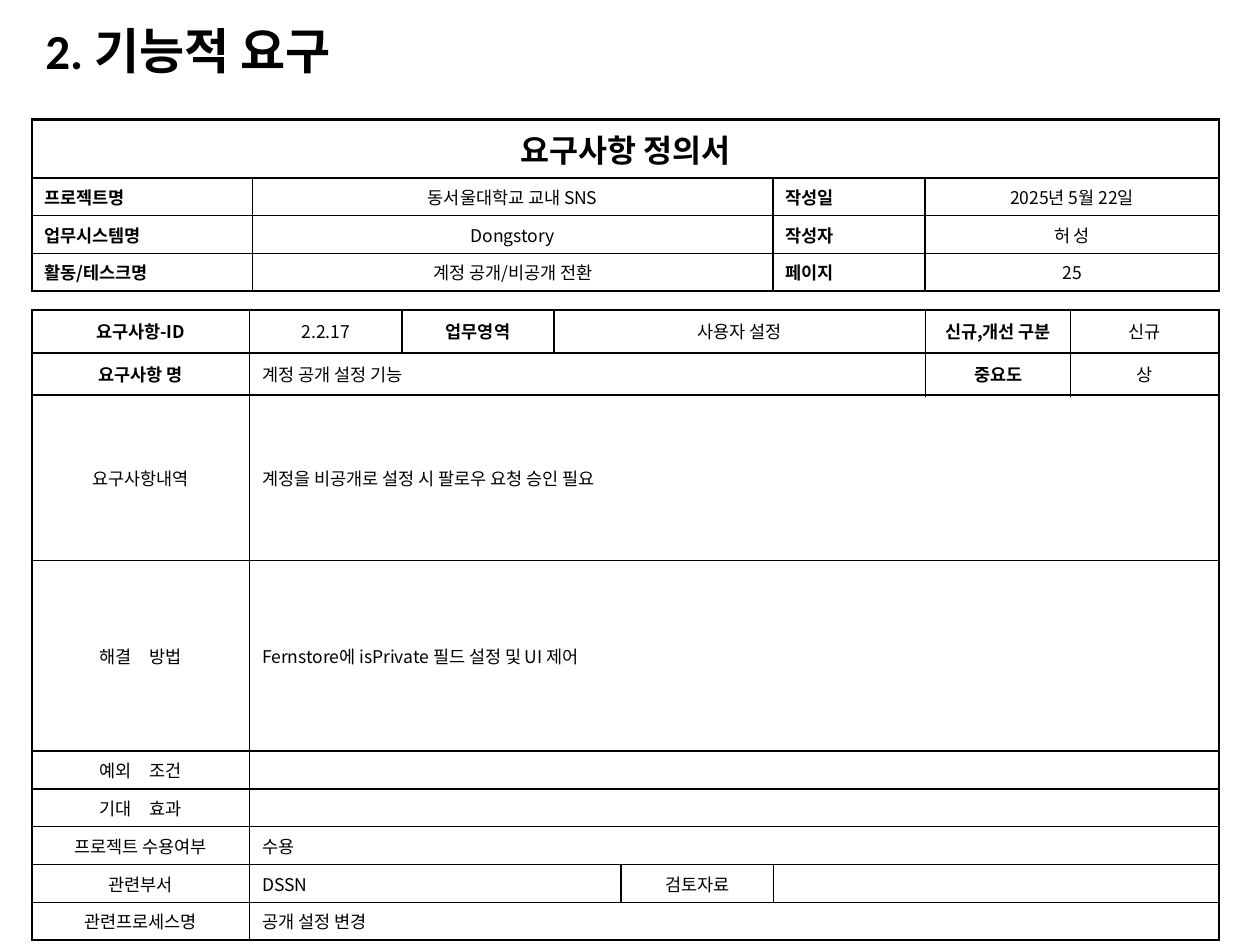
import pptx
import pptx.dml.color
import pptx.enum.text
import pptx.oxml
import pptx.oxml.ns
import pptx.util

Cm = pptx.util.Cm
Pt = pptx.util.Pt
ALIGN = pptx.enum.text.PP_ALIGN
ANCHOR = pptx.enum.text.MSO_ANCHOR

BLACK = "000000"
KOREAN = "Noto Sans CJK KR"
LATIN = "Calibri"
THIN, THICK = 1, 1.5

TITLE = "2. 기능적 요구"

STYLES = {
    "heading": (KOREAN, 18, True, ALIGN.CENTER, ANCHOR.MIDDLE),
    "field": (KOREAN, 10, True, ALIGN.JUSTIFY, ANCHOR.TOP),
    "entry": (KOREAN, 10, False, ALIGN.CENTER, ANCHOR.TOP),
    "label": (KOREAN, 10, True, ALIGN.CENTER, ANCHOR.MIDDLE),
    "item": (KOREAN, 10, False, ALIGN.CENTER, ANCHOR.MIDDLE),
    "value": (KOREAN, 10, False, ALIGN.LEFT, ANCHOR.MIDDLE),
    "detail": (LATIN, 10, False, ALIGN.LEFT, ANCHOR.MIDDLE),
}

REQUIREMENT = {
    "top": 6.25,
    "columns": [4.39, 3.07, 3.07, 1.35, 3.07, 3.07, 2.92, 2.99],
    "heights": [0.86, 0.86, 3.33, 3.84] + [0.69] * 5,
    "thick_rules": {0, 1, 2, 9},
    "rows": [
        [("요구사항-ID", "label", 1), ("2.2.17", "item", 1), ("업무영역", "label", 1),
         ("사용자 설정", "item", 3), ("신규,개선 구분", "label", 1), ("신규", "item", 1)],
        [("요구사항 명", "label", 1), ("계정 공개 설정 기능", "value", 5),
         ("중요도", "label", 1), ("상", "item", 1)],
        [("요구사항내역", "item", 1),
         ("계정을 비공개로 설정 시 팔로우 요청 승인 필요", "detail", 7)],
        [("해결　방법", "item", 1),
         ("Fernstore에 isPrivate 필드 설정 및 UI 제어", "value", 7)],
        [("예외　조건", "item", 1), ("", "value", 7)],
        [("기대　효과", "item", 1), ("", "value", 7)],
        [("프로젝트 수용여부", "item", 1), ("수용", "value", 7)],
        [("관련부서", "item", 1), ("DSSN", "value", 3),
         ("검토자료", "item", 1), ("", "value", 3)],
        [("관련프로세스명", "item", 1), ("공개 설정 변경", "value", 7)],
    ],
}

DOCUMENT = {
    "top": 2.41,
    "columns": [4.45, 10.49, 3.07, 5.92],
    "heights": [1.17, 0.69, 0.69, 0.69],
    "thick_rules": {0, 4},
    "rows": [
        [("요구사항 정의서", "heading", 4)],
        [("프로젝트명", "field", 1), ("동서울대학교 교내 SNS", "entry", 1),
         ("작성일", "field", 1), ("2025년 5월 22일", "entry", 1)],
        [("업무시스템명", "field", 1), ("Dongstory", "entry", 1),
         ("작성자", "field", 1), ("허 성", "entry", 1)],
        [("활동/테스크명", "field", 1), ("계정 공개/비공개 전환", "entry", 1),
         ("페이지", "field", 1), ("25", "entry", 1)],
    ],
}


def set_font(para, name, size, bold, color=BLACK):
    para.font.name = name
    para.font.size = Pt(size)
    para.font.bold = bold
    para.font.color.rgb = pptx.dml.color.RGBColor.from_string(color)


def set_borders(cell, widths):
    properties = cell._tc.get_or_add_tcPr()
    for side, width in widths.items():
        properties.append(pptx.oxml.parse_xml(
            f'<a:ln{side} {pptx.oxml.ns.nsdecls("a")} w="{Pt(width)}">'
            f'<a:solidFill><a:srgbClr val="{BLACK}"/></a:solidFill></a:ln{side}>'))


def write_cell(cell, text, style):
    name, size, bold, align, anchor = STYLES[style]
    cell.vertical_anchor = anchor
    para = cell.text_frame.paragraphs[0]
    para.alignment = align
    set_font(para, name, size, bold)
    if text:
        para.add_run().text = text
    else:
        para._p.get_or_add_endParaRPr().set("sz", str(size * 100))


def add_form(page, form):
    columns, heights = form["columns"], form["heights"]
    table = page.shapes.add_table(
        len(heights), len(columns), Cm(0.64), Cm(form["top"]),
        Cm(sum(columns)), Cm(sum(heights))).table
    table.first_row = table.horz_banding = False
    for column, width in zip(table.columns, columns):
        column.width = Cm(width)
    for row, height in zip(table.rows, heights):
        row.height = Cm(height)

    def rule(index):
        return THICK if index in form["thick_rules"] else THIN

    for r, entries in enumerate(form["rows"]):
        start = 0
        for text, style, span in entries:
            end = start + span
            for c in range(start, end):
                cell = table.cell(r, c)
                set_borders(cell, {
                    "L": THICK if start == 0 else THIN,
                    "R": THICK if end == len(columns) else THIN,
                    "T": rule(r),
                    "B": rule(r + 1),
                })
                cell.fill.background()
            first = table.cell(r, start)
            if span > 1:
                first.merge(table.cell(r, end - 1))
            write_cell(first, text, style)
            start = end


def main():
    deck = pptx.Presentation()
    deck.slide_width, deck.slide_height = Cm(25.4), Cm(19.05)
    page = deck.slides.add_slide(deck.slide_layouts[5])

    title = page.shapes.title
    title.left, title.top, title.width, title.height = Cm(0.66), Cm(0.53), Cm(13.61), Cm(1.12)
    title.text_frame.text = TITLE
    title.text_frame.vertical_anchor = ANCHOR.MIDDLE
    para = title.text_frame.paragraphs[0]
    para.alignment = ALIGN.LEFT
    para.line_spacing = 0.9
    set_font(para, LATIN, 28, True)

    for form in (REQUIREMENT, DOCUMENT):
        add_form(page, form)
    deck.save("out.pptx")


if __name__ == "__main__":
    main()
